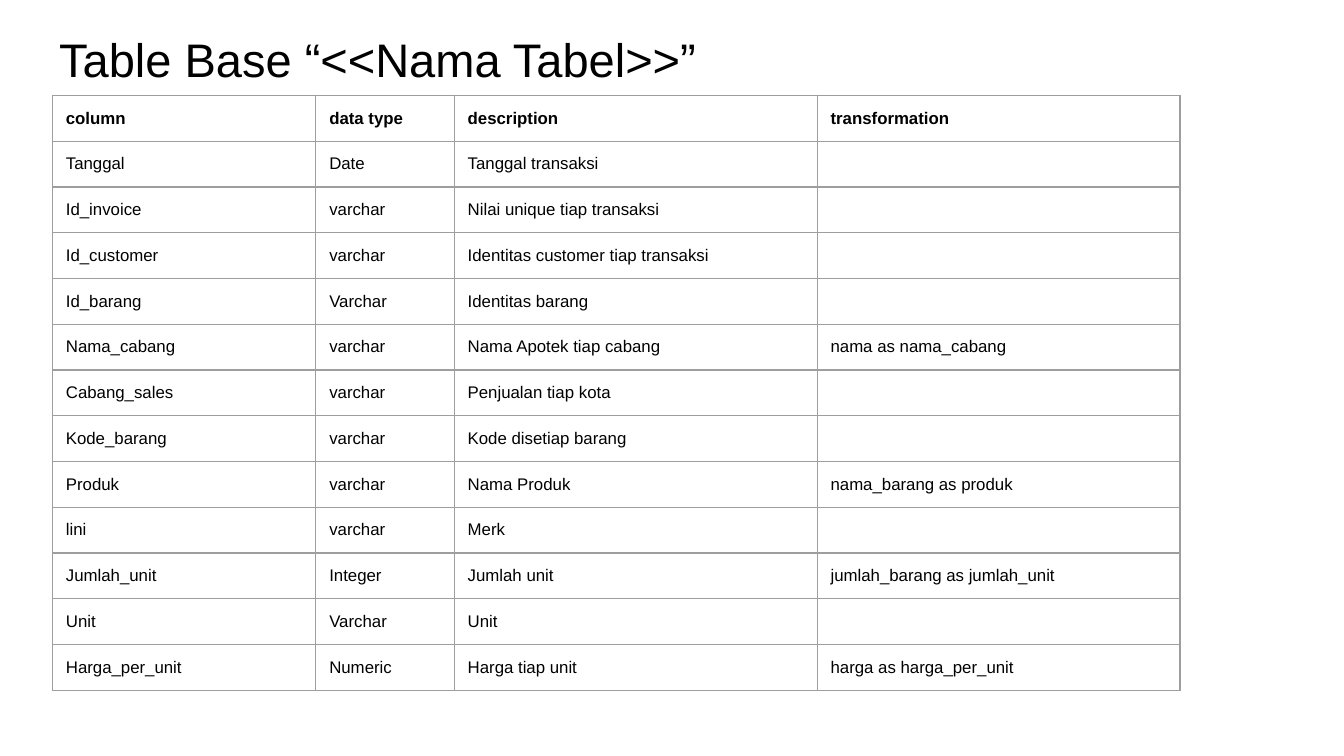
from lxml import etree
from pptx import Presentation
from pptx.dml.color import RGBColor
from pptx.enum.text import MSO_ANCHOR, PP_ALIGN
from pptx.oxml.ns import qn
from pptx.util import Inches, Pt

BOTTOM = MSO_ANCHOR.BOTTOM
LEFT = PP_ALIGN.LEFT
FONT = "Arial"
INK = "000000"
RULE = "9E9E9E"
WIDTH = Inches(10)
HEIGHT = WIDTH * 9 // 16
PAD = Inches(0.1)
SIZE = 9
COLS = (1.96, 1.03, 2.7, 2.7)
ROW = 0.34
ROWS = (
    ("column", "data type", "description", "transformation"),
    ("Tanggal", "Date", "Tanggal transaksi", ""),
    ("Id_invoice", "varchar", "Nilai unique tiap transaksi", ""),
    ("Id_customer", "varchar", "Identitas customer tiap transaksi", ""),
    ("Id_barang", "Varchar", "Identitas barang", ""),
    ("Nama_cabang", "varchar", "Nama Apotek tiap cabang", "nama as nama_cabang"),
    ("Cabang_sales", "varchar", "Penjualan tiap kota", ""),
    ("Kode_barang", "varchar", "Kode disetiap barang", ""),
    ("Produk", "varchar", "Nama Produk", "nama_barang as produk"),
    ("lini", "varchar", "Merk", ""),
    ("Jumlah_unit", "Integer", "Jumlah unit", "jumlah_barang as jumlah_unit"),
    ("Unit", "Varchar", "Unit", ""),
    ("Harga_per_unit", "Numeric", "Harga tiap unit", "harga as harga_per_unit"),
)


def color(code):
    return RGBColor.from_string(code)


def pad(item):
    """Set equal inner margins on a cell or a text frame."""
    item.margin_left = item.margin_right = PAD
    item.margin_top = item.margin_bottom = PAD


def add_run(para, text, size, bold=False):
    run = para.add_run()
    run.text = text
    font = run.font
    font.name, font.size, font.bold = FONT, Pt(size), bold
    font.color.rgb = color(INK)


def add_title(slide, text):
    title = slide.shapes.title
    title.left, title.top = Inches(0.34), Inches(0.12)
    title.width, title.height = Inches(9.32), Inches(0.63)
    frame = title.text_frame
    pad(frame)
    frame.word_wrap = True
    frame.vertical_anchor = BOTTOM
    para = frame.paragraphs[0]
    para.alignment = LEFT
    add_run(para, text, 25.2)


def add_rules(cell):
    """Draw the four borders; they must come before the cell's fill."""
    props = cell._tc.get_or_add_tcPr()
    for side in ("a:lnL", "a:lnR", "a:lnT", "a:lnB"):
        line = etree.SubElement(props, qn(side), w=str(Pt(0.75)))
        fill = etree.SubElement(line, qn("a:solidFill"))
        etree.SubElement(fill, qn("a:srgbClr"), val=RULE)


def fill_cell(cell, text, bold):
    pad(cell)
    add_rules(cell)
    cell.fill.background()
    para = cell.text_frame.paragraphs[0]
    if text:
        add_run(para, text, SIZE, bold)
    else:
        # Keeps an empty cell from growing its row
        end = etree.SubElement(para._p, qn("a:endParaRPr"), sz=str(SIZE * 100))
        etree.SubElement(end, qn("a:latin"), typeface=FONT)


def add_grid(slide, rows):
    frame = slide.shapes.add_table(
        len(rows), len(COLS), Inches(0.39), Inches(0.71),
        Inches(sum(COLS)), Inches(ROW * len(rows)))
    table = frame.table
    table.first_row = table.horz_banding = False
    for col, width in zip(table.columns, COLS):
        col.width = Inches(width)
    for r, row in enumerate(rows):
        table.rows[r].height = Inches(ROW)
        for c, text in enumerate(row):
            fill_cell(table.cell(r, c), text, bold=r == 0)


def main():
    prs = Presentation()
    prs.slide_width, prs.slide_height = WIDTH, HEIGHT
    slide = prs.slides.add_slide(prs.slide_layouts[5])
    add_title(slide, "Table Base “<<Nama Tabel>>”")
    add_grid(slide, ROWS)
    prs.save("out.pptx")


if __name__ == "__main__":
    main()
